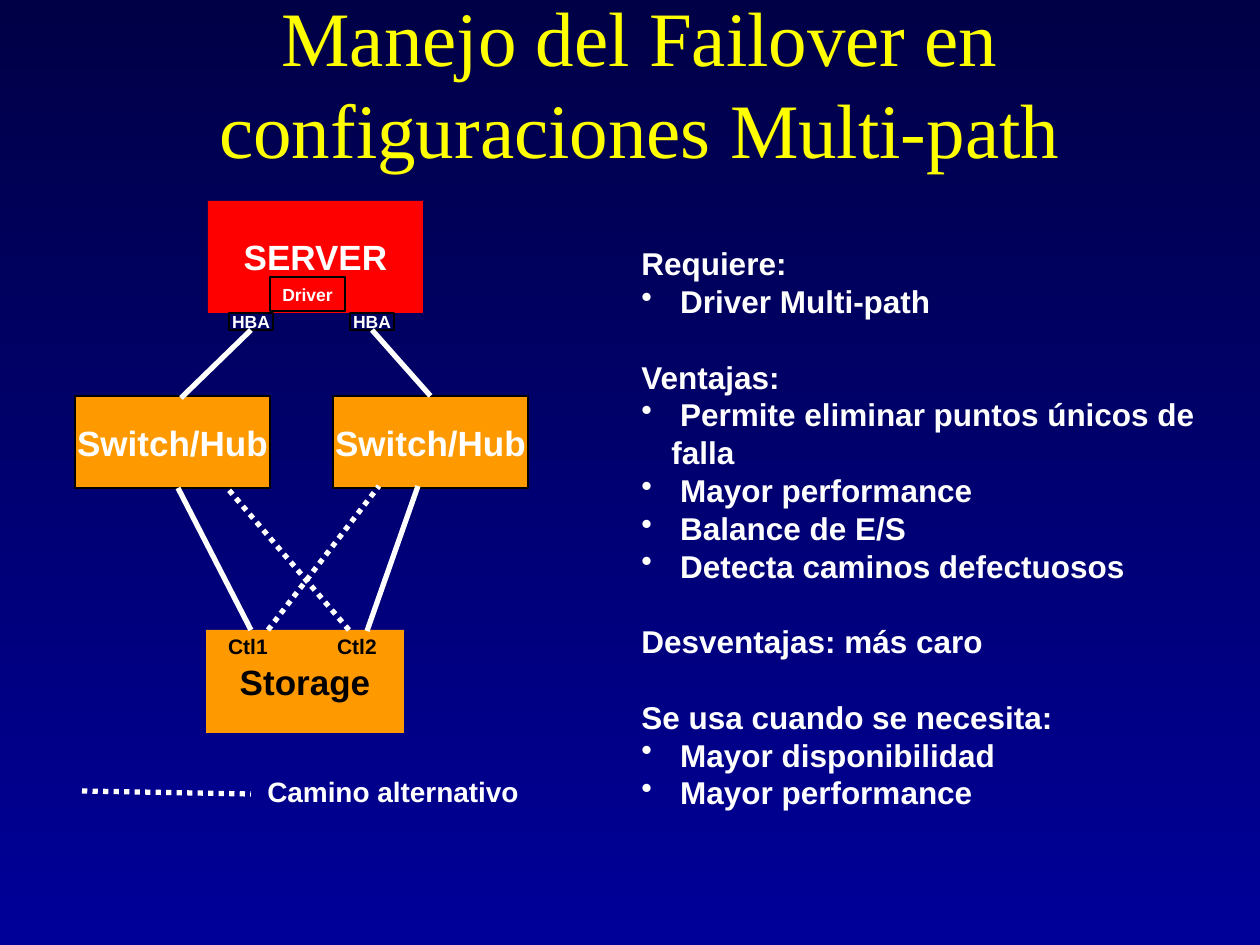
"""Builds the slide on failover handling in multi-path configurations."""
from pptx import Presentation
from pptx.dml.color import RGBColor
from pptx.enum.dml import MSO_LINE
from pptx.enum.shapes import MSO_CONNECTOR, MSO_SHAPE
from pptx.enum.text import MSO_ANCHOR, PP_ALIGN
from pptx.oxml.ns import qn
from pptx.util import Pt

PX = 914400 / 126
STRAIGHT = MSO_CONNECTOR.STRAIGHT
RECTANGLE = MSO_SHAPE.RECTANGLE
DOTTED = MSO_LINE.ROUND_DOT
TOP, MIDDLE, BOTTOM = MSO_ANCHOR.TOP, MSO_ANCHOR.MIDDLE, MSO_ANCHOR.BOTTOM
LEFT, CENTER = PP_ALIGN.LEFT, PP_ALIGN.CENTER
SIDE_TOP, SIDE_BOTTOM = 0, 2
COLORS = {
    "night": "000046",
    "navy": "000099",
    "yellow": "FFFF00",
    "orange": "FF9900",
    "red": "FF0000",
    "white": "FFFFFF",
    "black": "000000",
}
REQUIREMENTS = [
    ("Requiere:", [" Driver Multi-path"]),
    ("Ventajas:", [
        " Permite eliminar puntos únicos de falla",
        " Mayor performance",
        " Balance de E/S",
        " Detecta caminos defectuosos",
    ]),
    ("Desventajas: más caro", []),
    ("Se usa cuando se necesita:", [" Mayor disponibilidad", " Mayor performance"]),
]


def px(length):
    return round(length * PX)


def color(name):
    return RGBColor.from_string(COLORS[name])


def write(paragraph, text, size=18, font="Arial", ink="white", bold=True,
          align=CENTER, before=None):
    """Put formatted text in a paragraph."""
    paragraph.alignment = align
    if before:
        paragraph.space_before = Pt(before)
    run = paragraph.add_run()
    run.text = text
    run.font.size = Pt(size)
    run.font.name = font
    run.font.bold = bold
    run.font.color.rgb = color(ink)


def add_bullet(paragraph, indent=30):
    """Give a paragraph a hanging bullet."""
    properties = paragraph._p.get_or_add_pPr()
    properties.set("marL", str(px(indent)))
    properties.set("indent", str(-px(indent)))
    bullet = properties.makeelement(qn("a:buChar"), {"char": "•"})
    properties.append(bullet)


def add_label(slide, box, text, anchor=MIDDLE, wrap=False, **style):
    label = slide.shapes.add_textbox(*map(px, box))
    frame = label.text_frame
    frame.word_wrap = wrap
    frame.vertical_anchor = anchor
    write(frame.paragraphs[0], text, **style)
    return label


def add_node(slide, box, text, fill=None, outlined=True, **style):
    """Draw a labelled rectangle of the storage network."""
    node = slide.shapes.add_shape(RECTANGLE, *map(px, box))
    node.shadow.inherit = False
    if fill:
        node.fill.solid()
        node.fill.fore_color.rgb = color(fill)
    else:
        node.fill.background()
    if outlined:
        node.line.color.rgb = color("black")
        node.line.width = Pt(0.75)
    else:
        node.line.fill.background()
    frame = node.text_frame
    frame.word_wrap = False
    frame.vertical_anchor = MIDDLE
    write(frame.paragraphs[0], text, **style)
    return node


def add_route(slide, start, end, source=None, target=None, alternate=False):
    """Draw a data path, joined to its nodes where they are given."""
    route = slide.shapes.add_connector(STRAIGHT, *map(px, start + end))
    route.line.color.rgb = color("white")
    route.line.width = Pt(3)
    if alternate:
        route.line.dash_style = DOTTED
    properties = route._element.spPr
    properties.append(properties.makeelement(qn("a:effectLst"), {}))
    if source:
        route.begin_connect(source, SIDE_BOTTOM)
    if target:
        route.end_connect(target, SIDE_TOP)


def add_requirements(slide):
    """List the sections with their bullet points."""
    first_title = REQUIREMENTS[0][0]
    panel = add_label(slide, (629, 238, 631, 617), first_title, anchor=TOP,
                      wrap=True, align=LEFT)
    frame = panel.text_frame
    for title, points in REQUIREMENTS:
        if title != first_title:
            write(frame.add_paragraph(), title, align=LEFT, before=21.6)
        for point in points:
            paragraph = frame.add_paragraph()
            add_bullet(paragraph)
            write(paragraph, point, align=LEFT)


def paint_background(slide):
    fill = slide.background.fill
    fill.gradient()
    fill.gradient_angle = 270
    for stop, name in zip(fill.gradient_stops, ("night", "navy")):
        stop.color.rgb = color(name)


def add_network(slide):
    """Draw the server, switches and storage with their paths."""
    right_switch = [
        add_node(slide, (x, 396, 195, 92), "Switch/Hub", fill="orange", size=20)
        for x in (75, 333)
    ][-1]
    add_node(slide, (208, 201, 215, 112), "SERVER", fill="red", outlined=False, size=20)
    add_node(slide, (206, 630, 198, 103), "Storage", fill="orange", outlined=False,
             size=20, ink="black")
    left_hba, right_hba = [
        add_node(slide, (x, 313, 44, 17), "HBA", size=10) for x in (229, 350)
    ]
    add_node(slide, (270, 277, 75, 34), "Driver", size=10)
    for x, controller in ((203, "Ctl1"), (312, "Ctl2")):
        add_label(slide, (x, 627, 90, 38), controller, size=12, ink="black")

    add_route(slide, (249, 329), (181, 398), source=left_hba)
    add_route(slide, (374, 329), (432, 402), source=right_hba, target=right_switch)
    add_route(slide, (178, 488), (251, 630))
    add_route(slide, (418, 486), (367, 631))
    add_route(slide, (268, 630), (379, 486), alternate=True)
    add_route(slide, (349, 630), (228, 489), alternate=True)


def main():
    presentation = Presentation()
    presentation.slide_width = px(1260)
    presentation.slide_height = px(945)
    slide = presentation.slides.add_slide(presentation.slide_layouts[6])
    paint_background(slide)
    add_label(slide, (97, 31, 1086, 149), "Manejo del Failover en configuraciones Multi-path",
              anchor=BOTTOM, wrap=True, size=44, font="Times New Roman",
              ink="yellow", bold=False)
    add_network(slide)
    add_requirements(slide)
    add_route(slide, (82, 791), (251, 794), alternate=True)
    add_label(slide, (243, 768, 300, 47), "Camino alternativo", size=16)
    presentation.save("out.pptx")


if __name__ == "__main__":
    main()
